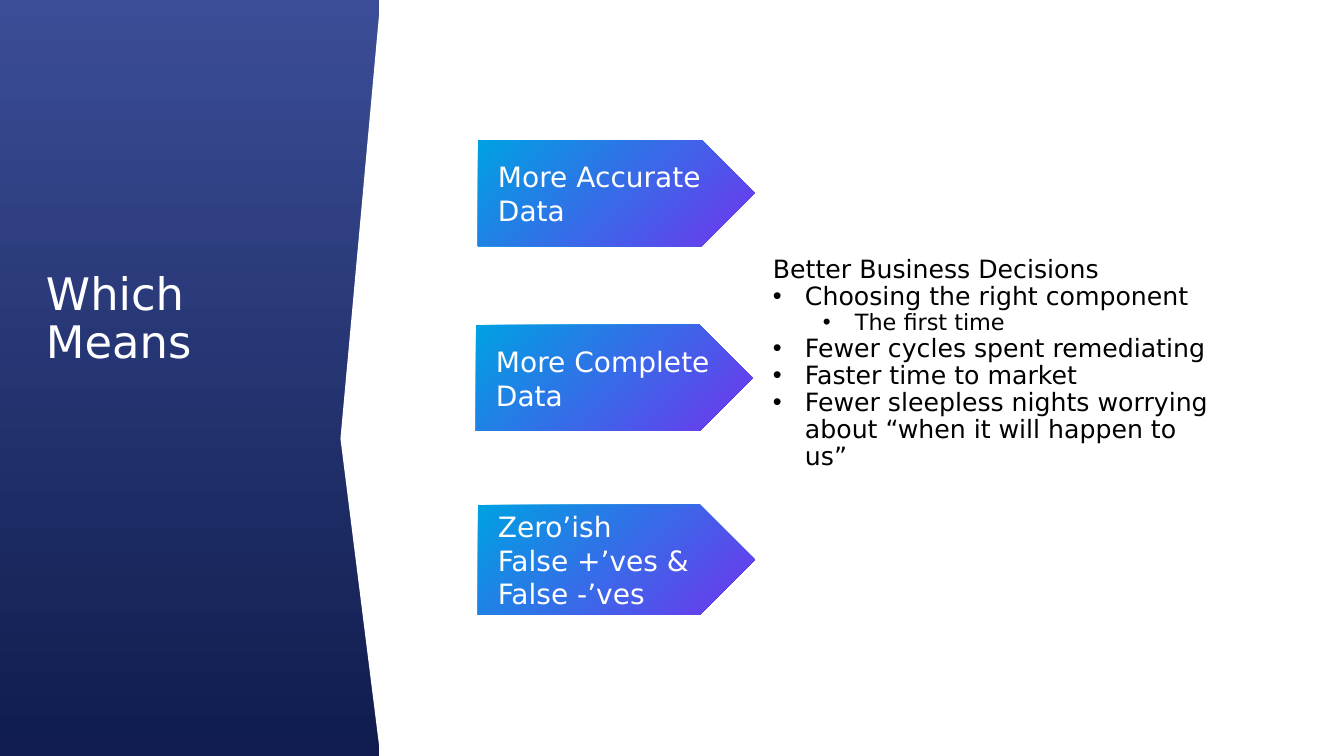
from lxml.etree import SubElement
from pptx import Presentation
from pptx.dml.color import RGBColor
from pptx.enum.shapes import MSO_SHAPE
from pptx.enum.text import MSO_ANCHOR, MSO_AUTO_SIZE, PP_ALIGN
from pptx.oxml.ns import qn
from pptx.util import Pt

PX = 914400 / 100.8
THEME = {
    "font": "DejaVu Sans",
    "white": "FFFFFF",
    "black": "000000",
    "panel": ("3B4D96", "0F1C4D"),
    "arrow": ("00A1E2", "7034EE"),
    "title": 32,
    "label": 20,
    "list": 18,
    "sublist": 16,
}


def write(shape, lines, size, color, spacing=1.0, insets=(10, 5, 10, 5)):
    """Fill a shape with left-aligned lines and return its paragraphs."""
    frame = shape.text_frame
    frame.text = "\n".join(lines)
    frame.word_wrap = True
    frame.auto_size = MSO_AUTO_SIZE.NONE
    frame.vertical_anchor = MSO_ANCHOR.MIDDLE
    (frame.margin_left, frame.margin_top,
     frame.margin_right, frame.margin_bottom) = (round(inset * PX) for inset in insets)
    for paragraph in frame.paragraphs:
        paragraph.alignment = PP_ALIGN.LEFT
        paragraph.line_spacing = spacing
        paragraph.space_before = paragraph.space_after = Pt(0)
        font = paragraph.runs[0].font
        font.name, font.size = THEME["font"], Pt(size)
        font.color.rgb = RGBColor.from_string(color)
    return frame.paragraphs


def add_block(kind, box, colors, angle=0):
    """Add a borderless shape with a plain fill or a two-colour gradient."""
    shape = slide.shapes.add_shape(kind, *(round(length * PX) for length in box))
    shape.shadow.inherit = False
    shape.line.fill.background()
    if len(colors) == 1:
        shape.fill.solid()
        shape.fill.fore_color.rgb = RGBColor.from_string(colors[0])
    else:
        shape.fill.gradient()
        shape.fill.gradient_angle = angle
        for stop, color in zip(shape.fill.gradient_stops, colors):
            stop.color.rgb = RGBColor.from_string(color)
    return shape


presentation = Presentation()
presentation.slide_width = round(1344 * PX)
presentation.slide_height = round(756 * PX)
slide = presentation.slides.add_slide(presentation.slide_layouts[1])
title, body = slide.placeholders
for placeholder, box in ((title, (36, 232, 277, 176)), (body, (763, 140, 466, 475))):
    (placeholder.left, placeholder.top,
     placeholder.width, placeholder.height) = (round(length * PX) for length in box)

# Side panel with its notch, behind the title
panel = add_block(MSO_SHAPE.RECTANGLE, (0, 0, 379, 756), THEME["panel"], 270)
notch = add_block(MSO_SHAPE.ISOSCELES_TRIANGLE, (-18, 358, 757, 40), [THEME["white"]])
notch.rotation = 270
notch.adjustments[0] = 0.42
for backdrop in (panel, notch):
    title.element.addprevious(backdrop.element)

write(title, ["Which Means"], THEME["title"], THEME["white"], spacing=0.9)

# Benefits: text, list level (None for the heading)
benefits = [
    ("Better Business Decisions", None),
    ("Choosing the right component", 0),
    ("The first time", 1),
    ("Fewer cycles spent remediating", 0),
    ("Faster time to market", 0),
    ("Fewer sleepless nights worrying about “when it will happen to us”", 0),
]
paragraphs = write(body, [text for text, level in benefits], THEME["list"],
                   THEME["black"], spacing=0.9, insets=(10, 5, 10, 32))
for paragraph, (text, level) in zip(paragraphs, benefits):
    properties = paragraph.runs[0].font and paragraph._p.get_or_add_pPr()
    if level is None:
        properties.set("marL", "0")
        properties.set("indent", "0")
        SubElement(properties, qn("a:buNone"))
        continue
    paragraph.level = level
    properties.set("marL", str(round((32 + 50 * level) * PX)))
    properties.set("indent", str(round(-32 * PX)))
    bullet_color = SubElement(properties, qn("a:buClr"))
    SubElement(bullet_color, qn("a:srgbClr"), val=THEME["black"])
    SubElement(properties, qn("a:buFont"), typeface="Arial")
    SubElement(properties, qn("a:buChar"), char="•")
    if level == 1:
        paragraph.runs[0].font.size = Pt(THEME["sublist"])

arrows = [
    ((478, 140, 277, 106), ["More Accurate Data"]),
    ((476, 325, 277, 106), ["More Complete Data"]),
    ((478, 505, 277, 110), ["Zero’ish", "False +’ves &", "False -’ves"]),
]
for box, lines in arrows:
    arrow = add_block(MSO_SHAPE.PENTAGON, box, THEME["arrow"], 315)
    write(arrow, lines, THEME["label"], THEME["white"], insets=(20, 5, 10, 5))

presentation.save("out.pptx")
